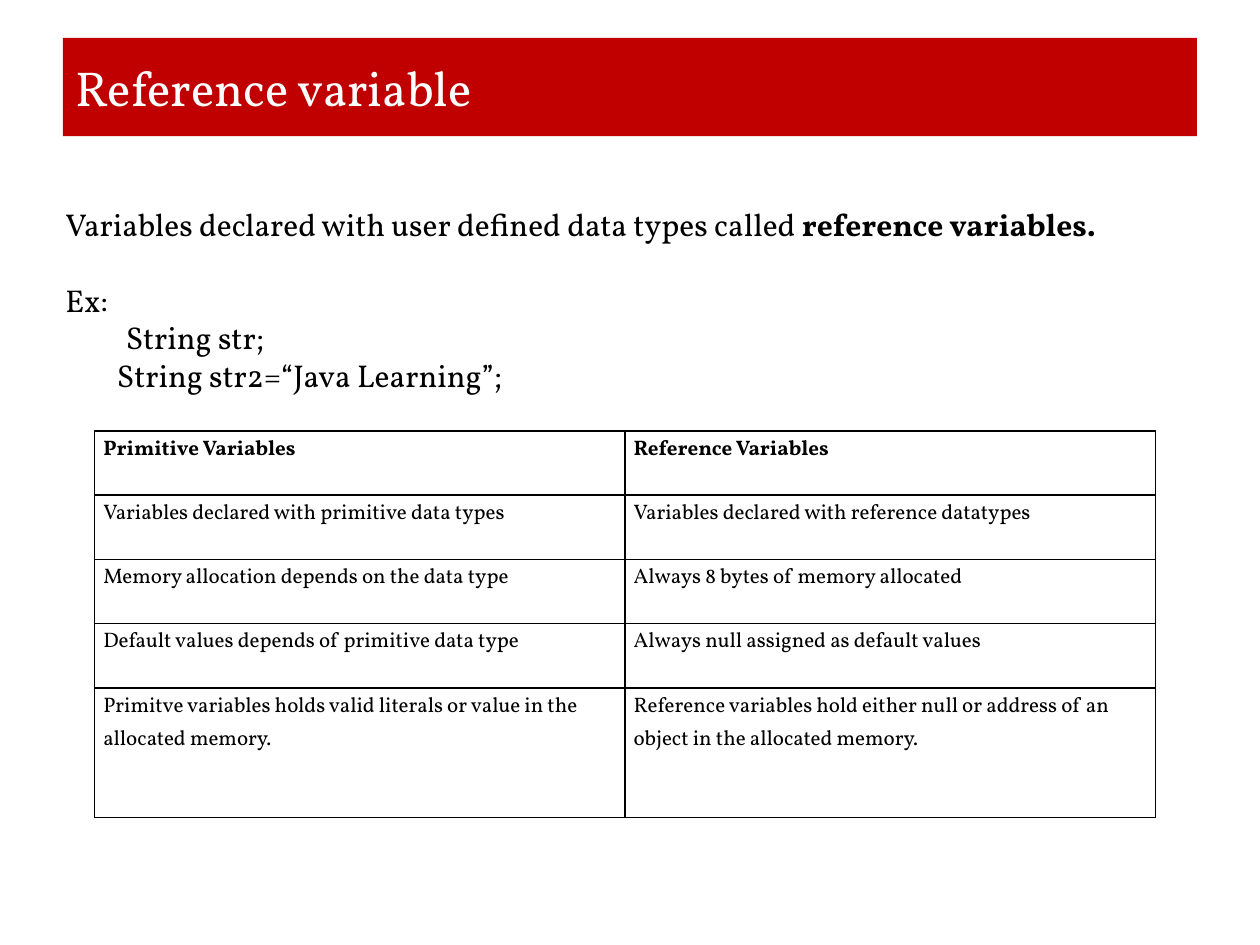
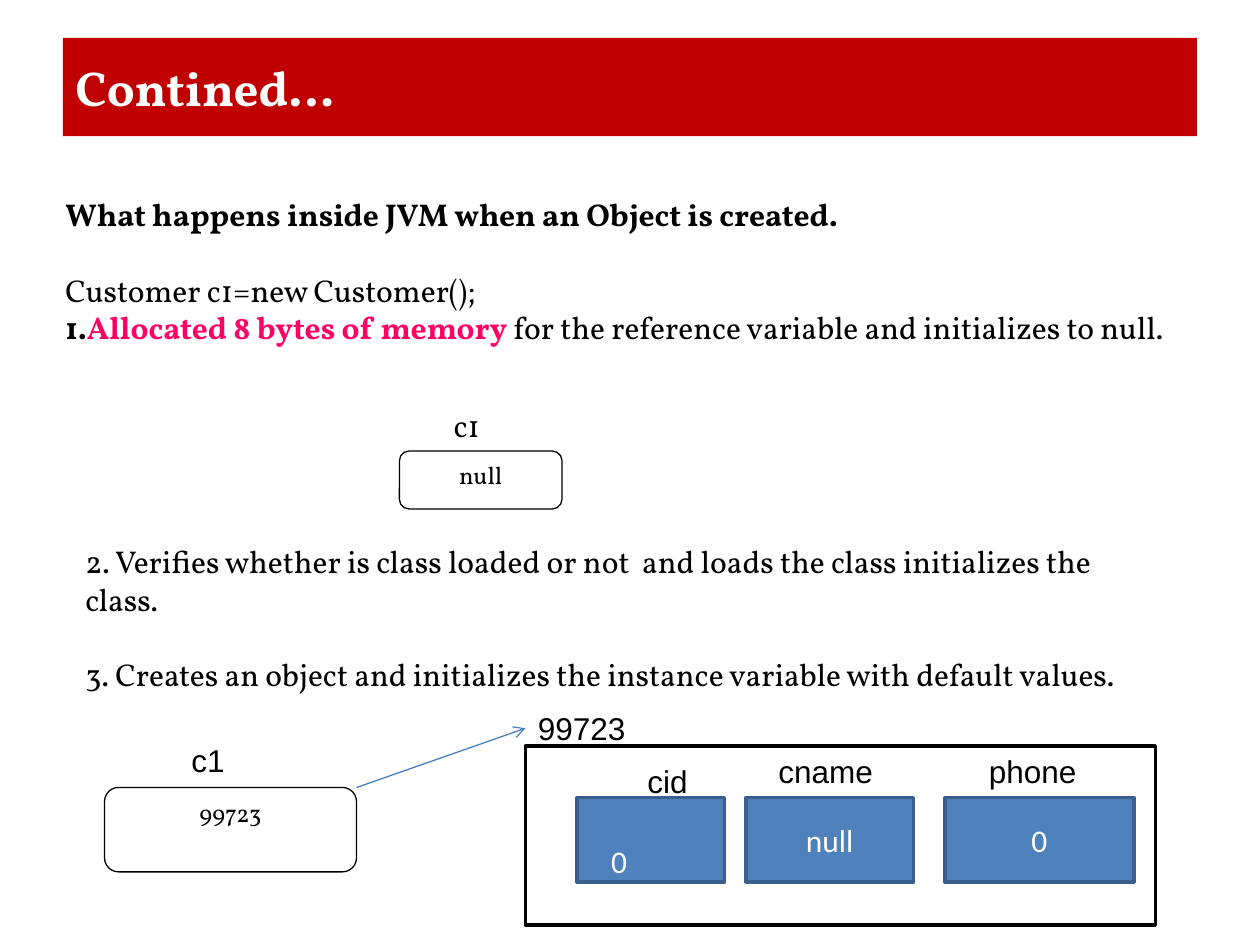
import pptx
import pptx.util
import pptx.dml.color
import pptx.enum.shapes
import pptx.enum.text
import pptx.oxml
import pptx.oxml.ns

Inches, Pt = pptx.util.Inches, pptx.util.Pt
RGB = pptx.dml.color.RGBColor.from_string
Align, Anchor = pptx.enum.text.PP_ALIGN, pptx.enum.text.MSO_ANCHOR
Kind = pptx.enum.shapes.MSO_SHAPE

HUES = {"band": "C00000", "white": "FFFFFF", "black": "000000",
        "pink": "FF0066", "blue": "4F81BD", "edge": "3A5F8C", "arrow": "4B7EBC"}
SERIF, LABEL, FIELD = "Vollkorn", "Arial", "Calibri"
GAP = 21.5  # one empty line of body text, in points


def element(xml):
    return pptx.oxml.parse_xml(xml.replace(">", f' {pptx.oxml.ns.nsdecls("a")}>', 1))


class Deck:
    def __init__(self):
        self.prs = pptx.Presentation()
        self.prs.slide_width, self.prs.slide_height = Inches(10), Inches(7.5)
        self.slide = None

    def page(self, title, bold=False):
        self.slide = self.prs.slides.add_slide(self.prs.slide_layouts[6])
        band = self.box(0.5, 0.3, 9, 0.78, fill="band")
        self.label(band.text_frame, title, 28, hue="white", bold=bold)
        band.text_frame.vertical_anchor = Anchor.MIDDLE

    def style(self, run, size=18, font=SERIF, hue="black", bold=False):
        run.font.size, run.font.name, run.font.bold = Pt(size), font, bold
        run.font.color.rgb = RGB(HUES[hue])

    def label(self, frame, text, size=18, font=SERIF, hue="black",
              bold=False, align=Align.LEFT):
        frame.text = text
        frame.word_wrap = True
        for par in frame.paragraphs:
            par.alignment = align
            for run in par.runs:
                self.style(run, size, font, hue, bold)

    def text(self, x, y, w, h, text, **look):
        box = self.slide.shapes.add_textbox(Inches(x), Inches(y), Inches(w), Inches(h))
        self.label(box.text_frame, text, **look)
        return box

    def body(self, x, y, w, h, lines):
        """Each line is (indent, space before, [(text, look), ...])."""
        frame = self.text(x, y, w, h, "").text_frame
        for i, (indent, before, parts) in enumerate(lines):
            par = frame.add_paragraph() if i else frame.paragraphs[0]
            par.space_before = Pt(before)
            props = par._p.get_or_add_pPr()
            props.set("marL", str(Inches(indent)))
            for text, look in parts:
                run = par.add_run()
                run.text = text
                self.style(run, **look)

    def box(self, x, y, w, h, kind=Kind.RECTANGLE, fill="white", line=None, width=2):
        shape = self.slide.shapes.add_shape(kind, Inches(x), Inches(y), Inches(w), Inches(h))
        shape.shadow.inherit = False
        shape.fill.solid()
        shape.fill.fore_color.rgb = RGB(HUES[fill])
        if line:
            shape.line.color.rgb = RGB(HUES[line])
            shape.line.width = Pt(width)
        else:
            shape.line.fill.background()
        return shape

    def slot(self, x, y, w, h, text):
        """Rounded box for the value of a reference."""
        shape = self.box(x, y, w, h, Kind.ROUNDED_RECTANGLE, line="black", width=0.75)
        self.label(shape.text_frame, text, 14, align=Align.CENTER)
        shape.text_frame.vertical_anchor = Anchor.TOP

    def field(self, x, w, text):
        """Blue box for one field of the object."""
        shape = self.box(x, 6.33, w, 0.67, fill="blue", line="edge")
        self.label(shape.text_frame, text, font=FIELD, hue="white", align=Align.CENTER)
        shape.text_frame.vertical_anchor = Anchor.MIDDLE
        return shape

    def arrow(self, x, y, goal, side):
        link = self.slide.shapes.add_connector(
            pptx.enum.shapes.MSO_CONNECTOR.STRAIGHT, Inches(x), Inches(y), goal.left, goal.top)
        link.end_connect(goal, side)
        link.line.color.rgb = RGB(HUES["arrow"])
        link.line.width = Pt(0.75)
        props = link._element.spPr
        props.find(pptx.oxml.ns.qn("a:ln")).append(
            element('<a:tailEnd type="arrow"></a:tailEnd>'))
        props.append(element("<a:effectLst></a:effectLst>"))

    def table(self, x, y, widths, heights, rows):
        grid = self.slide.shapes.add_table(
            len(heights), len(widths), Inches(x), Inches(y),
            Inches(sum(widths)), Inches(sum(heights))).table
        for col, w in zip(grid.columns, widths):
            col.width = Inches(w)
        for r, (row, h) in enumerate(zip(rows, heights)):
            grid.rows[r].height = Inches(h)
            for c, text in enumerate(row):
                self.cell(grid.cell(r, c), text, bold=r == 0)

    def cell(self, cell, text, bold):
        cell.margin_left = cell.margin_right = Inches(0.07)
        cell.margin_top = cell.margin_bottom = 0
        self.label(cell.text_frame, text, 12, bold=bold)
        cell.text_frame.paragraphs[0].line_spacing = 1.15
        props = cell._tc.get_or_add_tcPr()
        for side in "LRTB":
            props.append(element(
                f'<a:ln{side} w="{Pt(1)}"><a:solidFill><a:srgbClr val="{HUES["black"]}"/>'
                f'</a:solidFill></a:ln{side}>'))
        cell.fill.solid()
        cell.fill.fore_color.rgb = RGB(HUES["white"])


def main():
    deck = Deck()
    plain, bold = {}, {"bold": True}

    # Slide 1: reference variables against primitive ones
    deck.page("Reference variable")
    deck.body(0.42, 1.58, 9, 1.75, [
        (0, 0, [("Variables declared with user defined data types called ", plain),
                ("reference variables.", bold)]),
        (0, GAP, [("Ex:", plain)]),
        (0.48, 0, [("String str;", plain)]),
        (0.41, 0, [("String str2=“Java Learning”;", plain)]),
    ])
    deck.table(0.75, 3.42, [4.21] * 2, [0.51] * 4 + [1.03], [
        ("Primitive Variables", "Reference Variables"),
        ("Variables declared with primitive data types",
         "Variables declared with reference datatypes"),
        ("Memory allocation depends on the data type",
         "Always 8 bytes of memory allocated"),
        ("Default values depends of primitive data type",
         "Always null assigned as default values"),
        ("Primitve variables holds valid literals or value in the allocated memory.",
         "Reference variables hold either null or address of an object "
         "in the allocated memory."),
    ])

    # Slide 2: steps of object creation
    deck.page("Contined…", bold=True)
    deck.body(0.42, 1.5, 9, 1.67, [
        (0, 0, [("What happens inside JVM when an Object is created.", bold)]),
        (0, GAP, [("Customer c1=new Customer();", plain)]),
        (0, 0, [("1.", bold),
                ("Allocated 8 bytes of memory ", {"bold": True, "hue": "pink"}),
                ("for the reference variable and initializes to null.", plain)]),
    ])
    deck.slot(3.17, 3.58, 1.29, 0.46, "null")
    deck.text(3.33, 3.17, 0.75, 0.4, "c1", align=Align.CENTER)
    deck.body(0.58, 4.25, 8.58, 1.62, [
        (0, 0, [("2. Verifies whether is class loaded or not  and loads the class "
                 "initializes the class.", plain)]),
        (0, GAP, [("3. Creates an object and initializes the instance variable "
                   "with default values.", plain)]),
    ])

    # The object and its fields
    deck.box(4.17, 5.92, 5, 1.42, line="black")
    cid = deck.field(4.58, 1.17, "0").text_frame
    cid.paragraphs[0].alignment = Align.LEFT
    cid.vertical_anchor = Anchor.BOTTOM
    cid.margin_left, cid.margin_bottom = Inches(0.27), Inches(0.02)
    deck.field(5.92, 1.33, "null")
    deck.field(7.5, 1.5, "0")
    for x, y, w, name in [(5.04, 6, 0.71, "cid"), (6.08, 5.92, 1.17, "cname"),
                          (7.75, 5.92, 1, "phone"), (1.42, 5.83, 0.83, "c1")]:
        deck.text(x, y, w, 0.4, name, font=LABEL)

    # The reference pointing at its address
    deck.slot(0.83, 6.25, 2, 0.67, "99723")
    spot = deck.text(4.17, 5.58, 1.08, 0.4, "99723", font=LABEL)
    deck.arrow(2.83, 6.25, spot, 1)

    deck.prs.save("out.pptx")


if __name__ == "__main__":
    main()
